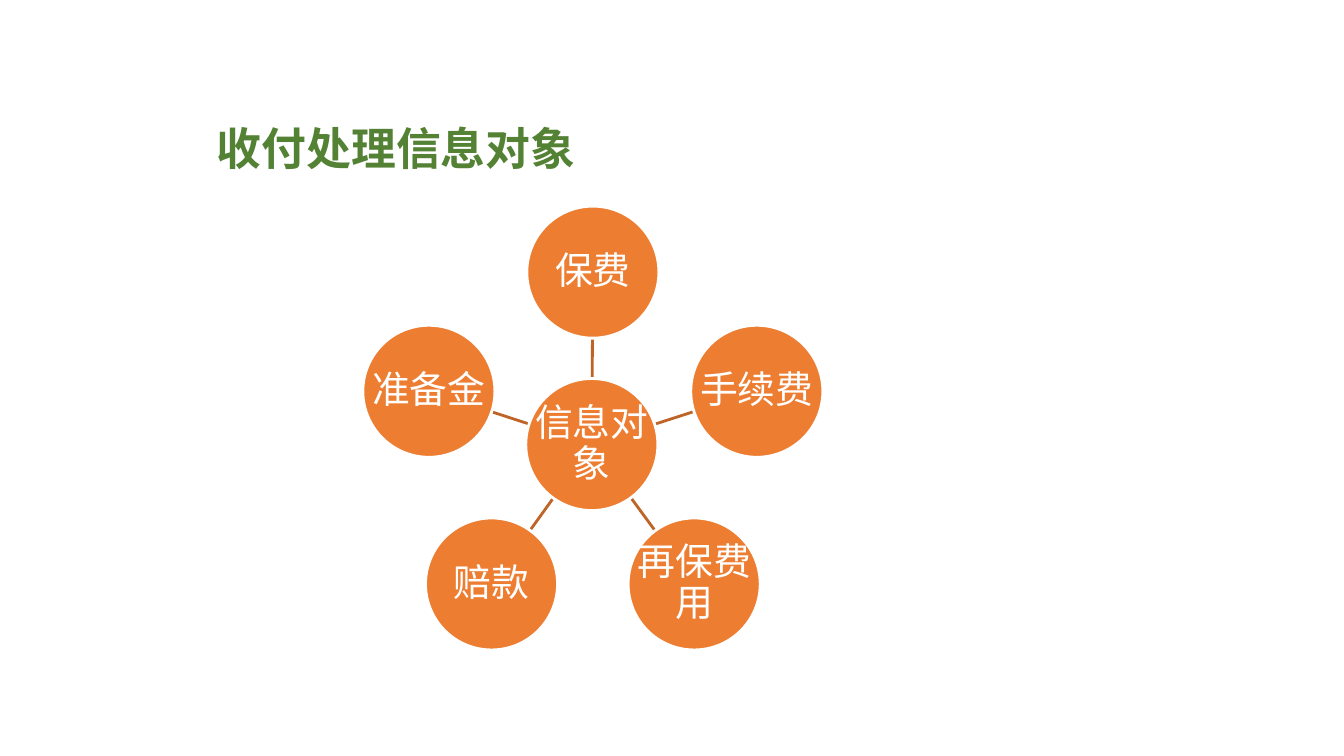
from math import cos, radians, sin

from lxml.etree import SubElement
from pptx import Presentation
from pptx.dml.color import RGBColor
from pptx.enum.shapes import MSO_CONNECTOR, MSO_SHAPE
from pptx.enum.text import MSO_ANCHOR, MSO_AUTO_SIZE, PP_ALIGN
from pptx.oxml.ns import qn
from pptx.util import Inches, Pt

DIAMETER = 1.31
RING_RADIUS = 1.71
RING_X, RING_Y = 5.88, 4.41
HUB_X, HUB_Y = 5.87, 4.41
TOPICS = ["保费", "手续费", "再保费用", "赔款", "准备金"]


def color(value):
    return RGBColor.from_string(value)


def write(box, text, *, size, font, fill, bold=False, align=PP_ALIGN.LEFT,
          inset=0.02, line_spacing=1.0):
    frame = box.text_frame
    frame.auto_size = MSO_AUTO_SIZE.NONE
    frame.word_wrap = True
    frame.vertical_anchor = MSO_ANCHOR.MIDDLE
    frame.margin_left = frame.margin_right = Inches(inset)
    frame.margin_top = frame.margin_bottom = Inches(0.02)
    para = frame.paragraphs[0]
    para.alignment = align
    para.line_spacing = line_spacing
    span = para.add_run()
    span.text = text
    span.font.size = Pt(size)
    span.font.bold = bold
    span.font.color.rgb = color(fill)
    span.font.name = font
    SubElement(span.font._element, qn("a:ea")).set("typeface", font)


deck = Presentation()
deck.slide_width = Inches(13.33)
deck.slide_height = Inches(7.5)
page = deck.slides.add_slide(deck.slide_layouts[5])

title = page.shapes.title
title.left, title.top = Inches(2.05), Inches(1.15)
title.width, title.height = Inches(7.19), Inches(0.62)
write(title, "收付处理信息对象", size=32, font="Noto Sans CJK SC", fill="548235",
      bold=True, inset=0.1)

# The hub comes first, then the topics clockwise from the top
circles = [("信息对象", HUB_X, HUB_Y)]
for number, topic in enumerate(TOPICS):
    angle = radians(number * 360 / len(TOPICS))
    circles.append((topic, RING_X + RING_RADIUS * sin(angle),
                    RING_Y - RING_RADIUS * cos(angle)))

# Each spoke runs from the hub's edge to the topic's edge
for topic, x, y in circles[1:]:
    start = DIAMETER / 2 / RING_RADIUS
    end = 1 - start
    dx, dy = x - HUB_X, y - HUB_Y
    spoke = page.shapes.add_connector(
        MSO_CONNECTOR.STRAIGHT,
        Inches(HUB_X + start * dx), Inches(HUB_Y + start * dy),
        Inches(HUB_X + end * dx), Inches(HUB_Y + end * dy))
    spoke.line.color.rgb = color("BE6427")
    spoke.line.width = Pt(2)
    SubElement(spoke._element.spPr, qn("a:effectLst"))

# A label spans its circle's full width, so it sits in its own text box
for label, x, y in circles:
    place = [Inches(value) for value in
             (x - DIAMETER / 2, y - DIAMETER / 2, DIAMETER, DIAMETER)]
    circle = page.shapes.add_shape(MSO_SHAPE.OVAL, *place)
    circle.shadow.inherit = False
    circle.fill.solid()
    circle.fill.fore_color.rgb = color("ED7D31")
    circle.line.color.rgb = color("FFFFFF")
    circle.line.width = Pt(2)
    write(page.shapes.add_textbox(*place), label, size=27, font="Calibri",
          fill="FFFFFF", align=PP_ALIGN.CENTER, line_spacing=0.9)

deck.save("out.pptx")
